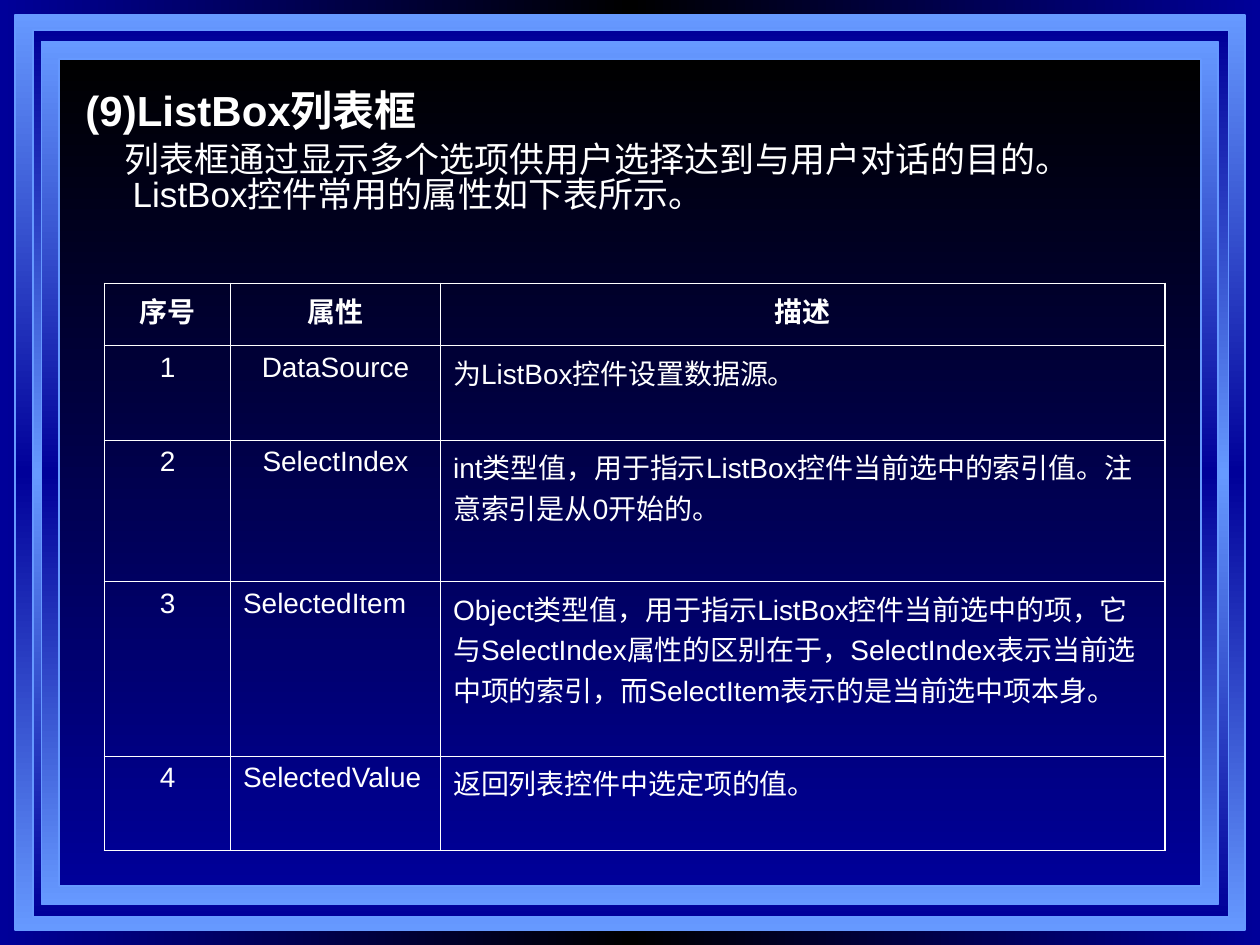
from dataclasses import dataclass

from lxml import etree
from pptx import Presentation
from pptx import util as u
from pptx.dml.color import RGBColor
from pptx.enum import lang, shapes, text
from pptx.oxml import ns

COLORS = {"navy": "000099", "sky": "6699FF", "black": "000000", "white": "FFFFFF"}
FONT = "Arial"
OUTER_BORDER, INNER_BORDER = 1.08, 0.45
CENTER, LEFT = text.PP_ALIGN.CENTER, text.PP_ALIGN.LEFT


@dataclass(frozen=True)
class Panel:
    left: float
    top: float
    width: float
    height: float
    gradient: tuple[str, ...]


@dataclass(frozen=True)
class Property:
    name: str
    description: str
    align: int = CENTER


# Nested panels that make up the frame, outermost first
PANELS = [
    Panel(8.64, 8.64, 702.72, 522.72, ("sky", "navy", "sky")),
    Panel(18.72, 17.28, 683.28, 506.88, ("navy", "sky", "navy")),
    Panel(23.76, 23.76, 672.48, 493.2, ("sky", "navy", "sky")),
    Panel(33.84, 33.84, 652.32, 472.32, ("black", "navy")),
]
HEADINGS = ("序号", "属性", "描述")
PROPERTIES = [
    Property("DataSource", "为ListBox控件设置数据源。"),
    Property("SelectIndex", "int类型值，用于指示ListBox控件当前选中的索引值。注意索引是从0开始的。"),
    Property("SelectedItem", "Object类型值，用于指示ListBox控件当前选中的项，它与SelectIndex属性的区别在于，"
             "SelectIndex表示当前选中项的索引，而SelectItem表示的是当前选中项本身。", LEFT),
    Property("SelectedValue", "返回列表控件中选定项的值。", LEFT),
]
COLUMN_WIDTHS = (72, 120, 414)
ROW_HEIGHTS = (35.5, 54, 81, 99.5, 54)


def paint_gradient(owner, fill, gradient: tuple[str, ...], angle: int) -> None:
    """Fill the owner element with evenly spaced colour stops."""
    fill.solid()
    solid = owner.find(".//" + ns.qn("a:solidFill"))
    grad = etree.Element(ns.qn("a:gradFill"), rotWithShape="1")
    stops = etree.SubElement(grad, ns.qn("a:gsLst"))
    for i, color in enumerate(gradient):
        position = 100000 * i // (len(gradient) - 1)
        stop = etree.SubElement(stops, ns.qn("a:gs"), pos=str(position))
        etree.SubElement(stop, ns.qn("a:srgbClr"), val=COLORS[color])
    etree.SubElement(grad, ns.qn("a:lin"), ang=str(angle * 60000), scaled="0")
    solid.getparent().replace(solid, grad)


def write(paragraph, words: str, *, size: float, bold: bool = False, align: int = LEFT,
          margin: float = 0, indent: float = 0, before: float = 0, spacing: float = 1) -> None:
    properties = paragraph._p.get_or_add_pPr()
    properties.set("marL", str(u.Pt(margin)))
    properties.set("indent", str(u.Pt(indent)))
    paragraph.alignment = align
    paragraph.space_before = u.Pt(before)
    paragraph.line_spacing = spacing
    run = paragraph.add_run()
    run.text = words
    run.font.name = FONT
    run.font.size = u.Pt(size)
    run.font.bold = bold
    run.font.color.rgb = RGBColor.from_string(COLORS["white"])
    run.font.language_id = lang.MSO_LANGUAGE_ID.SIMPLIFIED_CHINESE


def draw_panel(slide, panel: Panel) -> None:
    rect = slide.shapes.add_shape(
        shapes.MSO_SHAPE.RECTANGLE, u.Pt(panel.left), u.Pt(panel.top),
        u.Pt(panel.width), u.Pt(panel.height))
    rect.shadow.inherit = False
    paint_gradient(rect._element, rect.fill, panel.gradient, 90)
    rect.line.color.rgb = RGBColor.from_string(COLORS["sky"])
    rect.line.width = u.Pt(1)


def set_borders(cell, widths: dict[str, float]) -> None:
    properties = cell._tc.get_or_add_tcPr()
    for i, (side, width) in enumerate(widths.items()):
        line = etree.Element(ns.qn(f"a:ln{side}"), w=str(u.Pt(width)))
        solid = etree.SubElement(line, ns.qn("a:solidFill"))
        etree.SubElement(solid, ns.qn("a:srgbClr"), val=COLORS["white"])
        properties.insert(i, line)


def draw_table(slide) -> None:
    table = slide.shapes.add_table(
        len(ROW_HEIGHTS), len(COLUMN_WIDTHS), u.Pt(59.76), u.Pt(162),
        u.Pt(sum(COLUMN_WIDTHS)), u.Pt(sum(ROW_HEIGHTS))).table
    table.first_row = table.horz_banding = False
    for column, width in zip(table.columns, COLUMN_WIDTHS):
        column.width = u.Pt(width)
    for row, height in zip(table.rows, ROW_HEIGHTS):
        row.height = u.Pt(height)

    rows = [[(heading, CENTER) for heading in HEADINGS]]
    for number, item in enumerate(PROPERTIES, 1):
        rows.append([(str(number), CENTER), (item.name, item.align), (item.description, LEFT)])
    last_row, last_column = len(rows) - 1, len(HEADINGS) - 1
    for r, row in enumerate(rows):
        for c, (words, align) in enumerate(row):
            cell = table.cell(r, c)
            cell.fill.background()
            outer = {"L": c == 0, "R": c == last_column, "T": r == 0, "B": r == last_row}
            set_borders(cell, {side: OUTER_BORDER if edge else INNER_BORDER
                               for side, edge in outer.items()})
            write(cell.text_frame.paragraphs[0], words, size=16, bold=r == 0, align=align)


def main() -> None:
    deck = Presentation()
    deck.slide_width, deck.slide_height = u.Pt(720), u.Pt(540)
    slide = deck.slides.add_slide(deck.slide_layouts[6])

    # Background and frame
    background = slide.background.fill
    paint_gradient(slide.element, background, ("navy", "black", "navy"), 180)
    for panel in PANELS:
        draw_panel(slide, panel)

    # Heading and introduction
    intro = slide.shapes.add_textbox(u.Pt(41.76), u.Pt(48.24), u.Pt(630), u.Pt(455.76)).text_frame
    intro.word_wrap = True
    write(intro.paragraphs[0], "(9)ListBox列表框", size=24, bold=True,
          margin=27, indent=-27, spacing=0.9)
    write(intro.add_paragraph(),
          "列表框通过显示多个选项供用户选择达到与用户对话的目的。ListBox控件常用的属性如下表所示。",
          size=20, margin=27, indent=-5, before=5, spacing=0.83)

    # Property table
    draw_table(slide)
    deck.save("out.pptx")


if __name__ == "__main__":
    main()
